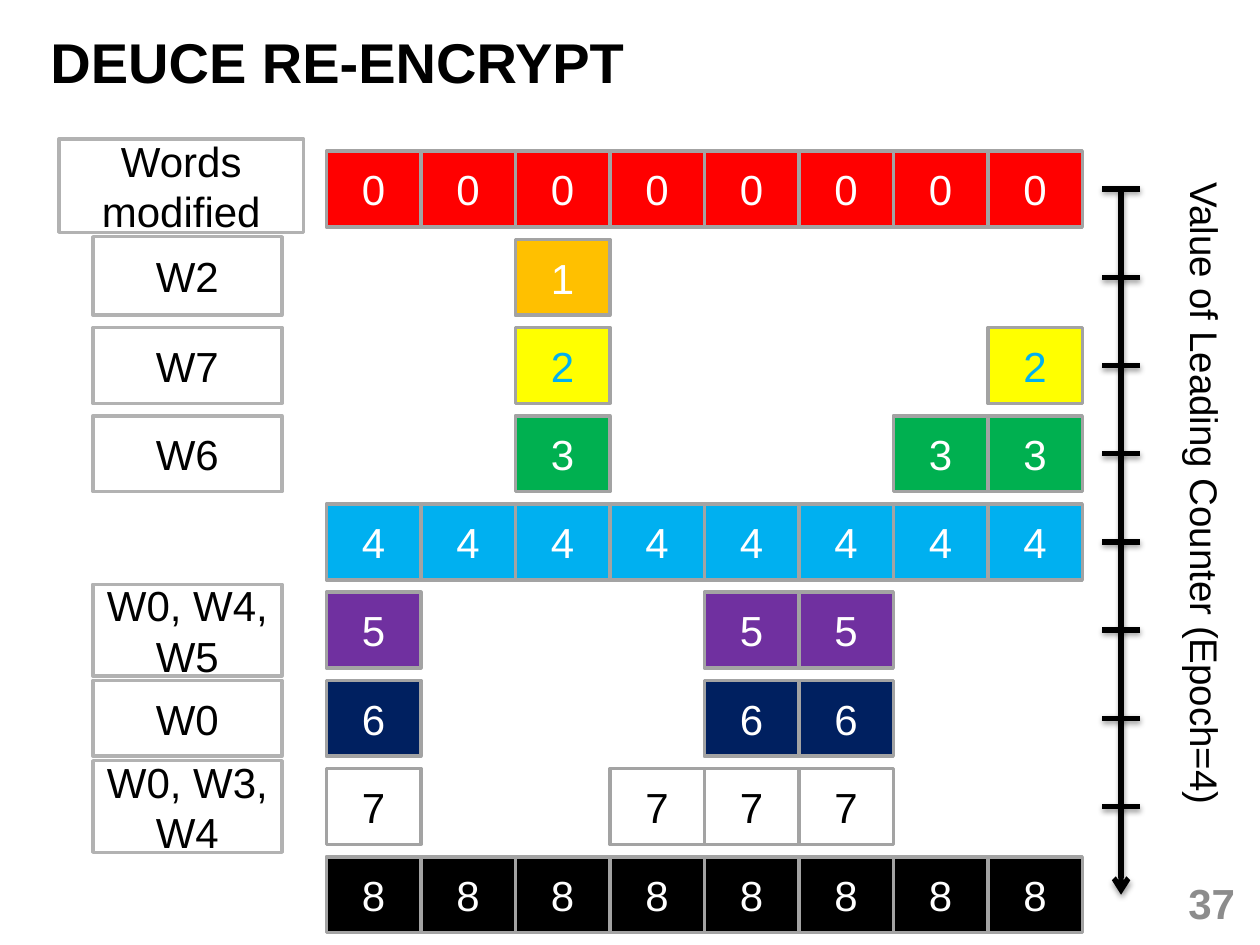
import pptx
import pptx.dml.color
import pptx.enum.shapes
import pptx.enum.text
import pptx.oxml
import pptx.oxml.ns
import pptx.util

COLORS = {
    "black": "000000", "white": "FFFFFF", "red": "FF0000", "orange": "FFC000",
    "yellow": "FFFF00", "green": "00B050", "cyan": "00B0F0", "purple": "7030A0",
    "navy": "002060", "cell_edge": "A3A3A3", "label_edge": "B2B2B2", "page": "8C8C8C",
}
ALIGN = pptx.enum.text.PP_ALIGN
MIDDLE = pptx.enum.text.MSO_ANCHOR.MIDDLE
SHADOW = (
    '<a:effectLst %s><a:outerShdw blurRad="40000" dist="20000" dir="5400000" rotWithShape="0">'
    '<a:srgbClr val="000000"><a:alpha val="38000"/></a:srgbClr></a:outerShdw></a:effectLst>'
    % pptx.oxml.ns.nsdecls("a")
)
ARROW = '<a:tailEnd %s type="arrow"/>' % pptx.oxml.ns.nsdecls("a")


def color(name):
    return pptx.dml.color.RGBColor.from_string(COLORS[name])


class CounterSlide:
    font = "Arial"
    left, top = 2.59, 1.2
    col, row = 0.75, 0.7
    cell_height = 0.86

    def __init__(self, prs):
        self.width, self.height = prs.slide_width, prs.slide_height
        self.s = prs.slides.add_slide(prs.slide_layouts[5])

    def point(self, c, r):
        return (pptx.util.Inches(self.left + c * self.col),
                pptx.util.Inches(self.top + r * self.row))

    def box(self, c, r, w, h):
        return (*self.point(c, r), pptx.util.Inches(w * self.col), pptx.util.Inches(h * self.row))

    def share(self, x, y, w, h):
        return (int(x * self.width), int(y * self.height),
                int(w * self.width), int(h * self.height))

    def set_text(self, sp, text, size, ink, align, bold=False):
        tf = sp.text_frame
        tf.text = text
        tf.word_wrap = True
        tf.vertical_anchor = MIDDLE
        p = tf.paragraphs[0]
        p.alignment = align
        font = p.runs[0].font
        font.name, font.size, font.bold = self.font, pptx.util.Pt(size), bold
        font.color.rgb = color(ink)
        return tf

    def title(self, text, *area):
        sp = self.s.shapes.title
        sp.left, sp.top, sp.width, sp.height = self.share(*area)
        self.set_text(sp, text, 32, "black", ALIGN.LEFT, True)

    def text(self, text, area, size, ink, align, bold=False):
        sp = self.s.shapes.add_textbox(*self.share(*area))
        return self.set_text(sp, text, size, ink, align, bold)

    def vertical_text(self, text, area, size):
        tf = self.text(text, area, size, "black", ALIGN.LEFT)
        tf.word_wrap = False
        tf.vertical_anchor = pptx.enum.text.MSO_ANCHOR.TOP
        tf.auto_size = pptx.enum.text.MSO_AUTO_SIZE.SHAPE_TO_FIT_TEXT
        tf._txBody.bodyPr.set("vert", "eaVert")

    def rect(self, text, area, fill, ink, edge):
        sp = self.s.shapes.add_shape(pptx.enum.shapes.MSO_SHAPE.RECTANGLE, *self.box(*area))
        sp.shadow.inherit = False
        sp.fill.solid()
        sp.fill.fore_color.rgb = color(fill)
        sp.line.color.rgb = color(edge)
        sp.line.width = pptx.util.Pt(2)
        self.set_text(sp, text, 24, ink, ALIGN.CENTER)

    def cell(self, value, c, fill, ink):
        self.rect(str(value), (c, value, 1, self.cell_height), fill, ink, "cell_edge")

    def label(self, text, r, h=cell_height, c=-2.47, w=2):
        self.rect(text, (c, r, w, h), "white", "black", "label_edge")

    def line(self, start, end, arrow=False):
        sp = self.s.shapes.add_connector(
            pptx.enum.shapes.MSO_CONNECTOR.STRAIGHT, *self.point(*start), *self.point(*end))
        sp.line.color.rgb = color("black")
        sp.line.width = pptx.util.Pt(3)
        if arrow:
            sp.line._get_or_add_ln().append(pptx.oxml.parse_xml(ARROW))
        sp._element.spPr.append(pptx.oxml.parse_xml(SHADOW))


COUNTERS = [
    (range(8), "red", "white"),
    ([2], "orange", "white"),
    ([2, 7], "yellow", "cyan"),
    ([2, 6, 7], "green", "white"),
    (range(8), "cyan", "white"),
    ([0, 4, 5], "purple", "white"),
    ([0, 4, 5], "navy", "white"),
    ([0, 3, 4, 5], "white", "black"),
    (range(8), "black", "white"),
]


def main():
    prs = pptx.Presentation()
    prs.slide_width, prs.slide_height = pptx.util.Inches(10), pptx.util.Inches(7.5)
    slide = CounterSlide(prs)
    slide.title("DEUCE RE-ENCRYPT", 0.03, 0.03, 0.92, 0.07)
    slide.text("37", (0.76, 0.93, 0.23, 0.05), 24, "page", ALIGN.RIGHT, True)

    for value, (words, fill, ink) in enumerate(COUNTERS):
        for word in words:
            slide.cell(value, word, fill, ink)

    slide.label("Words modified", -0.14, 1.06, c=-2.83, w=2.59)
    slide.label("W2", 0.97, 0.89)
    slide.label("W7", 2)
    slide.label("W6", 3)
    slide.label("W0, W4, W5", 4.91, 1.04)
    slide.label("W0", 6)
    slide.label("W0, W3, W4", 6.91, 1.04)

    axis, half_tick, middle = 8.41, 0.2, 0.43
    last = len(COUNTERS) - 1
    slide.line((axis, middle), (axis, last + middle), arrow=True)
    for value in range(last):
        slide.line((axis - half_tick, value + middle), (axis + half_tick, value + middle))
    slide.vertical_text("Value of Leading Counter (Epoch=4)", (0.92, 0.18, 0.06, 0.68), 22)

    prs.save("out.pptx")


if __name__ == "__main__":
    main()
